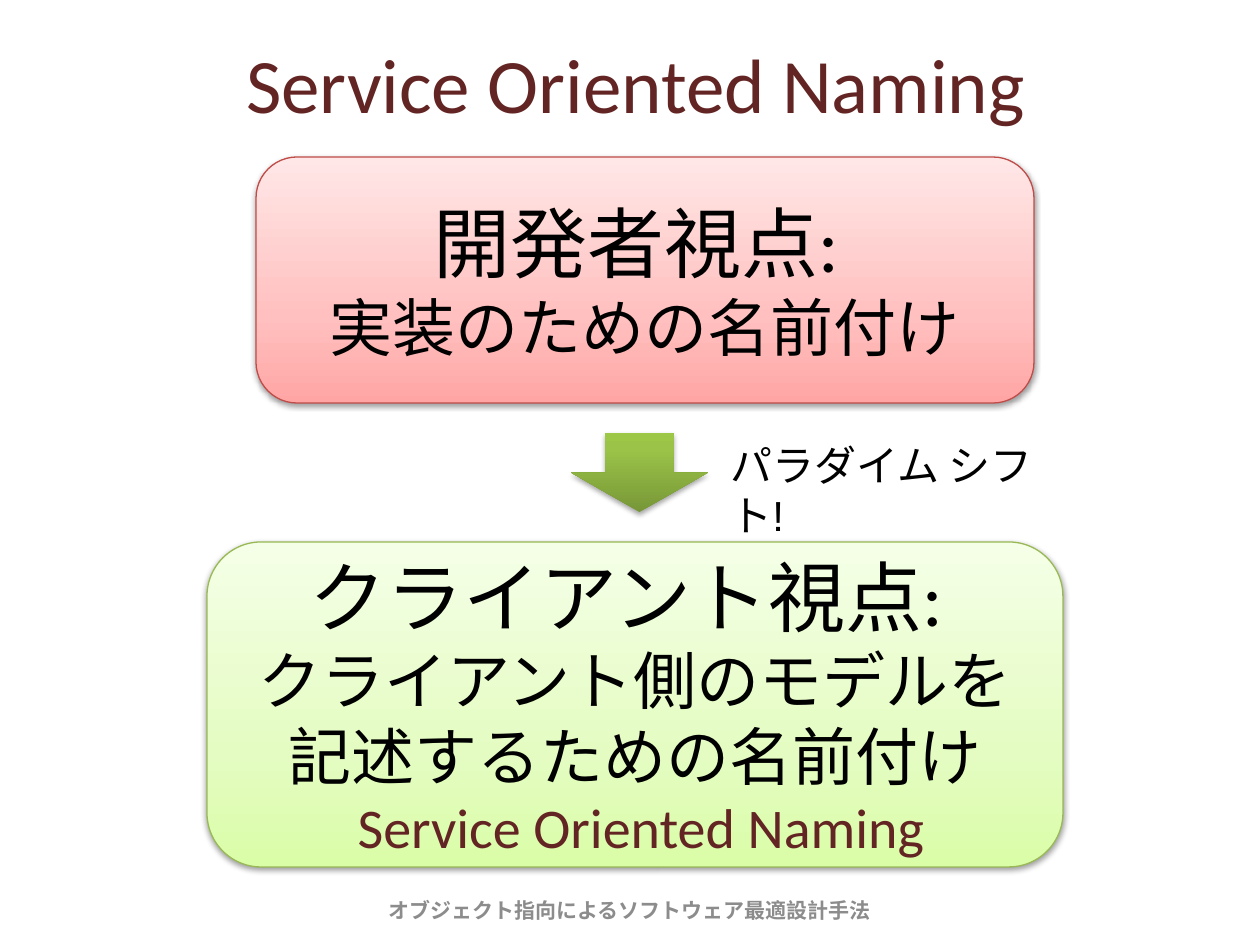
from lxml import etree
from pptx import Presentation
from pptx.dml.color import RGBColor
from pptx.enum.shapes import MSO_SHAPE
from pptx.enum.text import MSO_ANCHOR, PP_ALIGN
from pptx.oxml.ns import qn
from pptx.util import Inches, Pt

PX = Inches(1) / 126
CENTER, LEFT = PP_ALIGN.CENTER, PP_ALIGN.LEFT
MIDDLE, TOP = MSO_ANCHOR.MIDDLE, MSO_ANCHOR.TOP
ROUNDED, DOWN_ARROW = MSO_SHAPE.ROUNDED_RECTANGLE, MSO_SHAPE.DOWN_ARROW
TITLE_ONLY = 5

BLACK = RGBColor(0x00, 0x00, 0x00)
MAROON = RGBColor(0x63, 0x25, 0x23)
GRAY = RGBColor(0x8C, 0x8C, 0x8C)
RED_LINE = RGBColor(0xBF, 0x4C, 0x48)
GREEN_LINE = RGBColor(0x98, 0xB9, 0x55)
# Gradient stops run from the bottom edge to the top edge
RED_STOPS = [(0, RGBColor(0xFF, 0xA6, 0xA5)), (35, RGBColor(0xFF, 0xC0, 0xBF)),
             (100, RGBColor(0xFF, 0xE7, 0xE7))]
GREEN_STOPS = [(0, RGBColor(0xDA, 0xFD, 0xA7)), (35, RGBColor(0xE4, 0xFC, 0xC2)),
               (100, RGBColor(0xF5, 0xFF, 0xE7))]
ARROW_STOPS = [(0, RGBColor(0x77, 0x97, 0x37)), (80, RGBColor(0x9B, 0xC3, 0x48)),
               (100, RGBColor(0x9D, 0xC7, 0x46))]

HEADING = {"size": Pt(44), "name": "Calibri"}
DETAIL = {"size": Pt(36), "name": "Calibri"}
CONCLUSION = {"size": Pt(32), "name": "Calibri"}
CAPTION = {"size": Pt(24), "name": "Arial"}
FOOTER = {"size": Pt(12), "name": "Calibri", "bold": True}

TITLE = ((69, 29, 1134, 108), [("Service Oriented Naming", HEADING, MAROON)])
# Preset, box, gradient stops, line colour, shadow (alpha %, distance pt), lines
SHAPES = [
    (ROUNDED, (256, 157, 778, 246), RED_STOPS, RED_LINE, (38, 1.6), [
        ("開発者視点: ", HEADING, BLACK),
        ("実装のための名前付け", DETAIL, BLACK)]),
    (ROUNDED, (207, 542, 856, 325), GREEN_STOPS, GREEN_LINE, (38, 1.6), [
        ("クライアント視点: ", HEADING, BLACK),
        ("クライアント側のモデルを記述するための名前付け", DETAIL, BLACK),
        (" Service Oriented Naming", CONCLUSION, MAROON)]),
    (DOWN_ARROW, (571, 433, 137, 79), ARROW_STOPS, None, (35, 1.8), []),
]
TEXT_BOXES = [
    ((718, 433, 342, 64), LEFT, TOP, [("パラダイム シフト!", CAPTION, BLACK)]),
    ((236, 885, 787, 50), CENTER, MIDDLE,
     [("オブジェクト指向によるソフトウェア最適設計手法", FOOTER, GRAY)]),
]


def to_emu(box):
    return [round(length * PX) for length in box]


def write_lines(shape, lines, alignment, anchor):
    frame = shape.text_frame
    frame.word_wrap = True
    frame.vertical_anchor = anchor
    paragraph = frame.paragraphs[0]
    paragraph.alignment = alignment
    for index, (text, font_format, color) in enumerate(lines):
        if index:
            paragraph.add_line_break()
        run = paragraph.add_run()
        run.text = text
        for attribute, value in font_format.items():
            setattr(run.font, attribute, value)
        run.font.color.rgb = color


def add_color(parent, color):
    return etree.SubElement(parent, qn("a:srgbClr"), val=str(color))


def set_gradient(shape, stops):
    """Fill with any number of stops, which the public fill cannot hold."""
    shape.fill.gradient()
    gradient = shape._element.spPr.find(qn("a:gradFill"))
    for child in list(gradient):
        gradient.remove(child)
    stop_list = etree.SubElement(gradient, qn("a:gsLst"))
    for position, color in stops:
        stop = etree.SubElement(stop_list, qn("a:gs"), pos=str(position * 1000))
        add_color(stop, color)
    etree.SubElement(gradient, qn("a:lin"), ang="16200000", scaled="0")


def set_shadow(shape, alpha, distance):
    shape.shadow.inherit = False
    effects = shape._element.spPr.find(qn("a:effectLst"))
    shadow = etree.SubElement(effects, qn("a:outerShdw"), blurRad=str(Pt(3.1)),
                              dist=str(Pt(distance)), dir="5400000", rotWithShape="0")
    etree.SubElement(add_color(shadow, BLACK), qn("a:alpha"), val=str(alpha * 1000))


presentation = Presentation()
presentation.slide_width, presentation.slide_height = Inches(10), Inches(7.5)
slide = presentation.slides.add_slide(presentation.slide_layouts[TITLE_ONLY])

title_box, title_lines = TITLE
title = slide.shapes.title
title.left, title.top, title.width, title.height = to_emu(title_box)
write_lines(title, title_lines, CENTER, MIDDLE)

for preset, box, stops, line_color, shadow, lines in SHAPES:
    shape = slide.shapes.add_shape(preset, *to_emu(box))
    set_gradient(shape, stops)
    if line_color is None:
        shape.line.fill.background()
    else:
        shape.line.color.rgb = line_color
        shape.line.width = Pt(0.75)
    set_shadow(shape, *shadow)
    if lines:
        write_lines(shape, lines, CENTER, MIDDLE)

for box, alignment, anchor, lines in TEXT_BOXES:
    write_lines(slide.shapes.add_textbox(*to_emu(box)), lines, alignment, anchor)

presentation.save("out.pptx")
